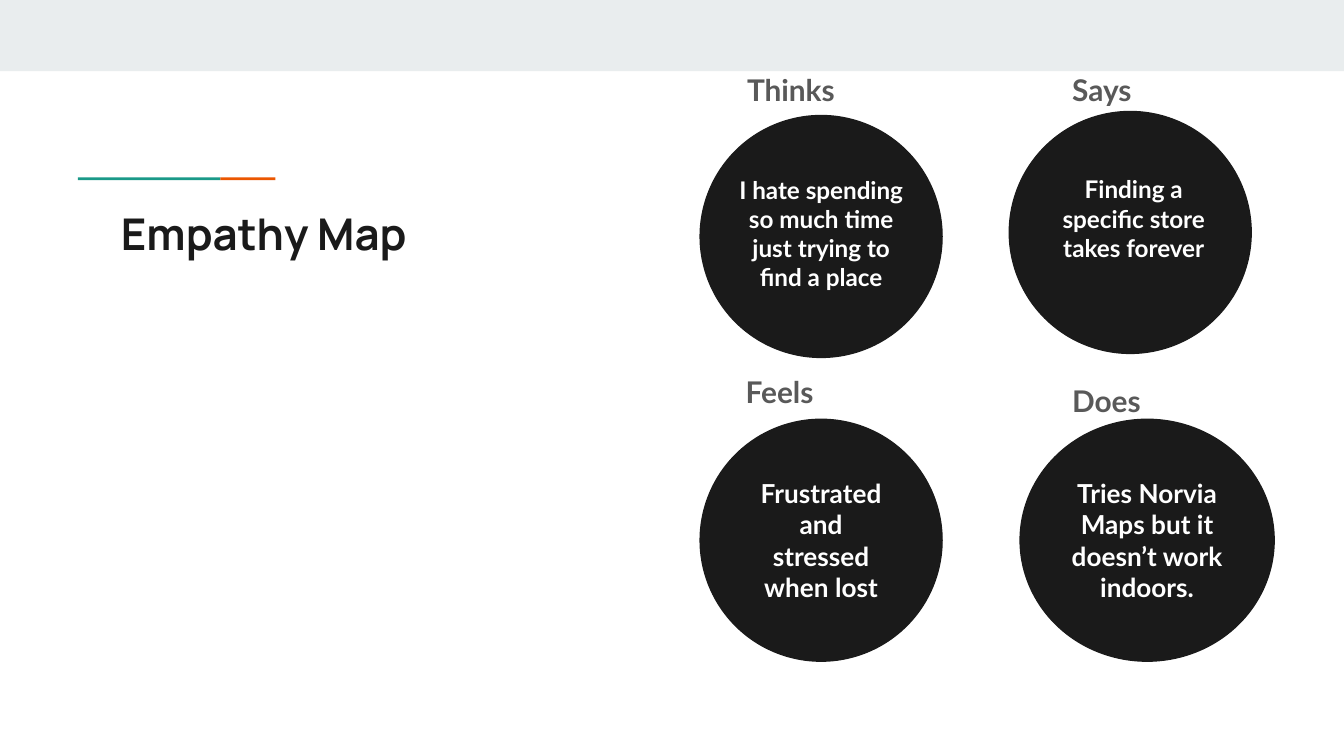
from pptx import Presentation
from pptx.dml.color import RGBColor
from pptx.enum import shapes, text
from pptx.util import Inches, Pt

DARK, GREY, WHITE = "1A1A1A", "595959", "FFFFFF"
LEFT, MID = text.PP_ALIGN.LEFT, text.PP_ALIGN.CENTER
TOP, CENTER = text.MSO_ANCHOR.TOP, text.MSO_ANCHOR.MIDDLE

TITLE = "Empathy Map"
BARS = [
    ((0, 0, 10, 0.53), "E9EDEE"),
    ((0.58, 1.32, 1.06, 0.02), "1A9988"),
    ((1.64, 1.32, 0.41, 0.02), "EB5600"),
]
CIRCLES = [
    ((5.21, 0.86, 1.8, 1.8), ""),
    ((7.51, 0.83, 1.8, 1.8), ""),
    ((5.21, 3.12, 1.8, 1.8), "Frustrated and stressed when lost"),
    ((7.59, 3.12, 1.89, 1.8), "Tries Norvia Maps but it doesn’t work indoors."),
]
LABELS = [
    ((5.46, 0.43, 0.92, 0.43), "Thinks"),
    ((7.88, 0.43, 1.33, 0.43), "Says"),
    ((5.45, 2.68, 1.33, 0.43), "Feels"),
    ((7.88, 2.75, 1.33, 0.43), "Does"),
]
QUOTES = [
    ((5.36, 1.2, 1.5, 1.08), "I hate spending so much time just trying to find a place"),
    ((7.66, 1.2, 1.55, 0.86), "Finding a specific store takes forever"),
]


def color(code):
    return RGBColor.from_string(code)


def inches(box):
    return [Inches(n) for n in box]


def write(shape, words, size, ink, align=LEFT, anchor=TOP, face="Lato"):
    frame = shape.text_frame
    frame.text = words
    frame.word_wrap = True
    frame.auto_size = text.MSO_AUTO_SIZE.NONE
    frame.vertical_anchor = anchor
    frame.margin_left = frame.margin_right = Inches(0.1)
    frame.margin_top = frame.margin_bottom = Inches(0.1)
    para = frame.paragraphs[0]
    para.alignment = align
    font = para.font
    font.name, font.size, font.bold = face, Pt(size), True
    font.color.rgb = color(ink)


def draw(slide, kind, box, fill):
    shape = slide.shapes.add_shape(kind, *inches(box))
    shape.shadow.inherit = False
    shape.fill.solid()
    shape.fill.fore_color.rgb = color(fill)
    shape.line.fill.background()
    return shape


def main():
    deck = Presentation()
    deck.slide_width = Inches(10)
    deck.slide_height = deck.slide_width * 9 // 16
    slide = deck.slides.add_slide(deck.slide_layouts[5])

    for box, fill in BARS:
        draw(slide, shapes.MSO_SHAPE.RECTANGLE, box, fill)

    title = slide.shapes.title
    title.left, title.top, title.width, title.height = inches((0.8, 1.44, 8.41, 0.59))
    write(title, TITLE, 23.4, DARK, face="Manrope")

    for box, words in CIRCLES:
        circle = draw(slide, shapes.MSO_SHAPE.OVAL, box, DARK)
        circle.line.color.rgb = color(DARK)
        circle.line.width = Pt(0.75)
        if words:
            write(circle, words, 14, WHITE, MID, CENTER)

    for box, words in LABELS:
        write(slide.shapes.add_textbox(*inches(box)), words, 16, GREY)
    for box, words in QUOTES:
        write(slide.shapes.add_textbox(*inches(box)), words, 13, WHITE, MID)

    deck.save("out.pptx")


if __name__ == "__main__":
    main()
